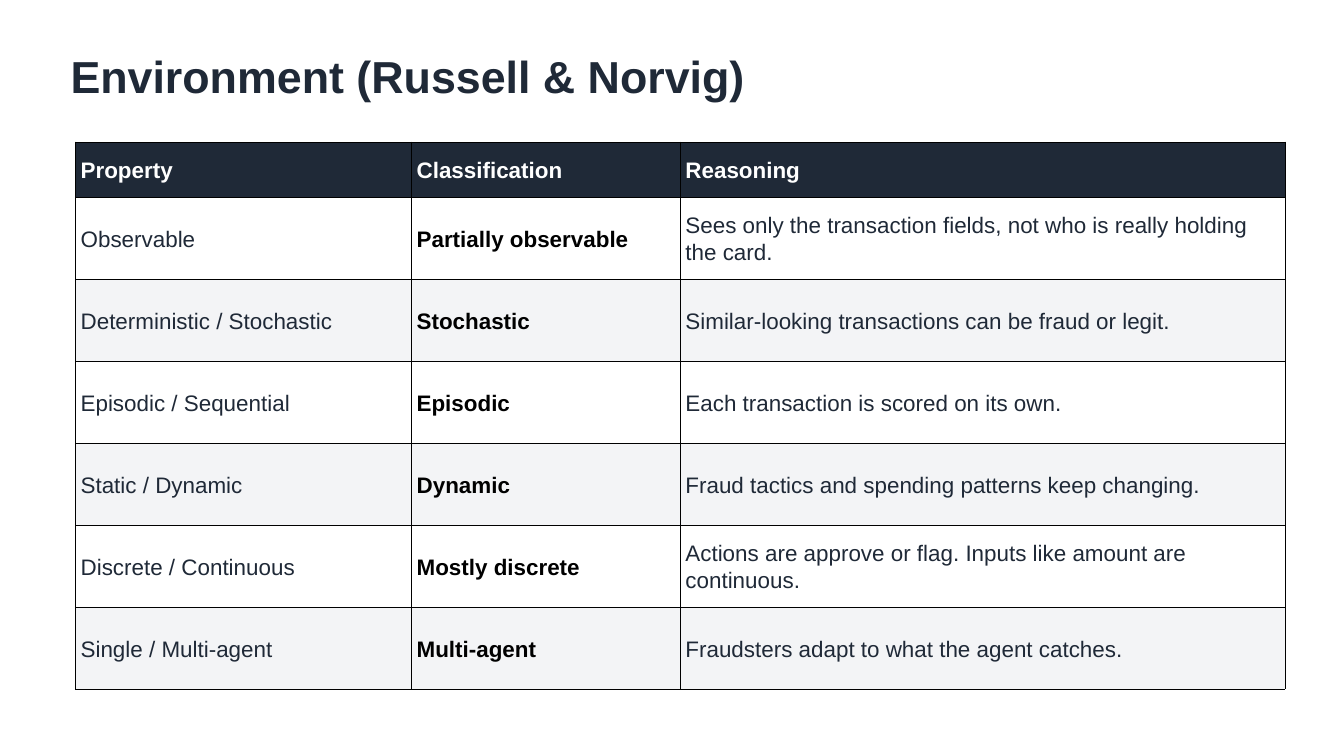
from dataclasses import dataclass

from lxml import etree
from pptx import Presentation
from pptx import util as u
from pptx.dml.color import RGBColor
from pptx.enum import text
from pptx.oxml import ns


@dataclass(frozen=True)
class Theme:
    font: str = "Arial"
    ink: str = "1F2937"
    black: str = "000000"
    white: str = "FFFFFF"
    band: str = "F3F4F6"
    title_size: int = 48
    body_size: int = 24
    leading: float = 1.2
    border: float = 0.37


THEME = Theme()
COLUMNS = [5, 4, 9]
HEADER_HEIGHT = 0.83
ROW_HEIGHT = 1.22
CELL_INSET = 0.08
HEADER = ("Property", "Classification", "Reasoning")
ROWS = [
    ("Observable", "Partially observable",
     "Sees only the transaction fields, not who is really holding the card."),
    ("Deterministic / Stochastic", "Stochastic",
     "Similar-looking transactions can be fraud or legit."),
    ("Episodic / Sequential", "Episodic", "Each transaction is scored on its own."),
    ("Static / Dynamic", "Dynamic", "Fraud tactics and spending patterns keep changing."),
    ("Discrete / Continuous", "Mostly discrete",
     "Actions are approve or flag. Inputs like amount are continuous."),
    ("Single / Multi-agent", "Multi-agent", "Fraudsters adapt to what the agent catches."),
]


def write(tf, content, *, size=THEME.body_size, color=THEME.ink, bold=False):
    tf.word_wrap = True
    p = tf.paragraphs[0]
    p.line_spacing = u.Pt(size * THEME.leading)
    r = p.add_run()
    r.text = content
    r.font.name = THEME.font
    r.font.size = u.Pt(size)
    r.font.bold = bold
    r.font.color.rgb = RGBColor.from_string(color)


def set_margins(target, inset):
    for side in ("left", "top", "right", "bottom"):
        setattr(target, f"margin_{side}", u.Inches(inset))


def add_title(s, content):
    box = s.shapes.add_textbox(u.Inches(1.05), u.Inches(0.72), u.Inches(17.9), u.Inches(1.16))
    tf = box.text_frame
    set_margins(tf, 0)
    write(tf, content, size=THEME.title_size, bold=True)
    tf.auto_size = text.MSO_AUTO_SIZE.SHAPE_TO_FIT_TEXT


def add_borders(cell):
    tc_pr = cell._tc.get_or_add_tcPr()
    for side in "LRTB":
        ln = etree.SubElement(tc_pr, ns.qn(f"a:ln{side}"), w=str(u.Pt(THEME.border)))
        fill = etree.SubElement(ln, ns.qn("a:solidFill"))
        etree.SubElement(fill, ns.qn("a:srgbClr"), val=THEME.black)


def fill_cell(cell, content, fill, **style):
    set_margins(cell, CELL_INSET)
    cell.vertical_anchor = text.MSO_ANCHOR.MIDDLE
    add_borders(cell)
    cell.fill.solid()
    cell.fill.fore_color.rgb = RGBColor.from_string(fill)
    write(cell.text_frame, content, **style)


def add_property_table(s):
    heights = [HEADER_HEIGHT] + [ROW_HEIGHT] * len(ROWS)
    table = s.shapes.add_table(
        len(heights), len(COLUMNS), u.Inches(1.12), u.Inches(2.11),
        u.Inches(sum(COLUMNS)), u.Inches(sum(heights))).table
    for column, width in zip(table.columns, COLUMNS):
        column.width = u.Inches(width)
    for row, height in zip(table.rows, heights):
        row.height = u.Inches(height)

    for j, label in enumerate(HEADER):
        fill_cell(table.cell(0, j), label, THEME.ink, color=THEME.white, bold=True)
    for i, values in enumerate(ROWS, start=1):
        fill = THEME.white if i % 2 else THEME.band
        for j, value in enumerate(values):
            is_class = j == 1
            fill_cell(table.cell(i, j), value, fill, bold=is_class,
                      color=THEME.black if is_class else THEME.ink)


def main():
    prs = Presentation()
    prs.slide_width, prs.slide_height = u.Inches(20), u.Inches(11.25)
    s = prs.slides.add_slide(prs.slide_layouts[6])
    add_title(s, "Environment (Russell & Norvig)")
    add_property_table(s)
    prs.save("out.pptx")


if __name__ == "__main__":
    main()
